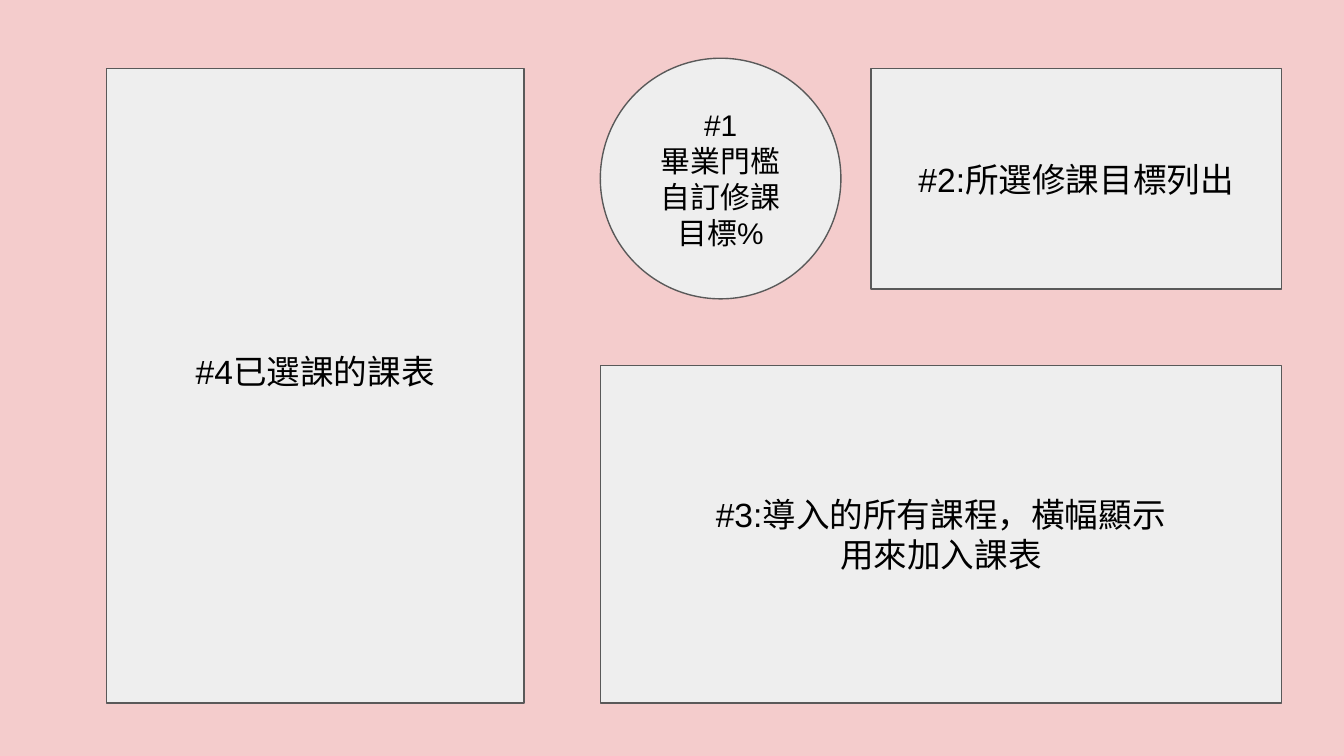
from lxml.etree import SubElement
from pptx import Presentation
from pptx.dml.color import RGBColor
from pptx.enum.shapes import MSO_SHAPE
from pptx.enum.text import MSO_ANCHOR, PP_ALIGN
from pptx.oxml.ns import qn
from pptx.util import Pt

FONT = "Arial"
INSET = 7.2

# Shared edges of the layout, in points
TOP, BOTTOM = 36.7, 376.6
TIMETABLE_LEFT, TIMETABLE_RIGHT = 56.9, 280.8
LEFT, RIGHT = 321.6, 686.4
GOALS_LEFT, GOALS_BOTTOM = 466.7, 154.9
COURSES_TOP = 195.7
CIRCLE_TOP, CIRCLE_SIZE = 31.2, 128.9


def paint(color_format, hex_color):
    color_format.rgb = RGBColor.from_string(hex_color)


def set_background(slide, hex_color):
    fill = slide.background.fill
    fill.solid()
    paint(fill.fore_color, hex_color)


def format_run(run, size):
    run.font.size = Pt(size)
    run.font.name = FONT
    paint(run.font.color, "000000")
    # East Asian typeface
    SubElement(run.font._element, qn("a:ea"), typeface=FONT)


def add_panel(slide, kind, left, top, right, bottom, text, size=18, bottom_inset=INSET):
    """Add a grey outlined panel with centred text between the given edges."""
    panel = slide.shapes.add_shape(
        kind, Pt(left), Pt(top), Pt(right - left), Pt(bottom - top))
    panel.shadow.inherit = False
    panel.fill.solid()
    paint(panel.fill.fore_color, "EEEEEE")
    paint(panel.line.color, "595959")
    panel.line.width = Pt(0.75)

    frame = panel.text_frame
    frame.word_wrap = True
    frame.vertical_anchor = MSO_ANCHOR.MIDDLE
    frame.margin_left = frame.margin_right = frame.margin_top = Pt(INSET)
    frame.margin_bottom = Pt(bottom_inset)
    frame.text = text
    for paragraph in frame.paragraphs:
        paragraph.alignment = PP_ALIGN.CENTER
        for run in paragraph.runs:
            format_run(run, size)


def main():
    deck = Presentation()
    deck.slide_width, deck.slide_height = Pt(720), Pt(405)
    slide = deck.slides.add_slide(deck.slide_layouts[6])
    set_background(slide, "F4CCCC")

    # Chosen goals
    add_panel(slide, MSO_SHAPE.RECTANGLE, GOALS_LEFT, TOP, RIGHT, GOALS_BOTTOM,
              "#2:所選修課目標列出")
    # All imported courses
    add_panel(slide, MSO_SHAPE.RECTANGLE, LEFT, COURSES_TOP, RIGHT, BOTTOM,
              "#3:導入的所有課程，橫幅顯示\n用來加入課表")
    # Graduation progress
    add_panel(slide, MSO_SHAPE.OVAL, LEFT, CIRCLE_TOP,
              LEFT + CIRCLE_SIZE, CIRCLE_TOP + CIRCLE_SIZE,
              "#1\n畢業門檻\n自訂修課目標%", size=16)
    # Timetable, its text sitting slightly above the middle
    add_panel(slide, MSO_SHAPE.RECTANGLE, TIMETABLE_LEFT, TOP, TIMETABLE_RIGHT, BOTTOM,
              "#4已選課的課表", bottom_inset=INSET + 16)

    deck.save("out.pptx")


if __name__ == "__main__":
    main()
